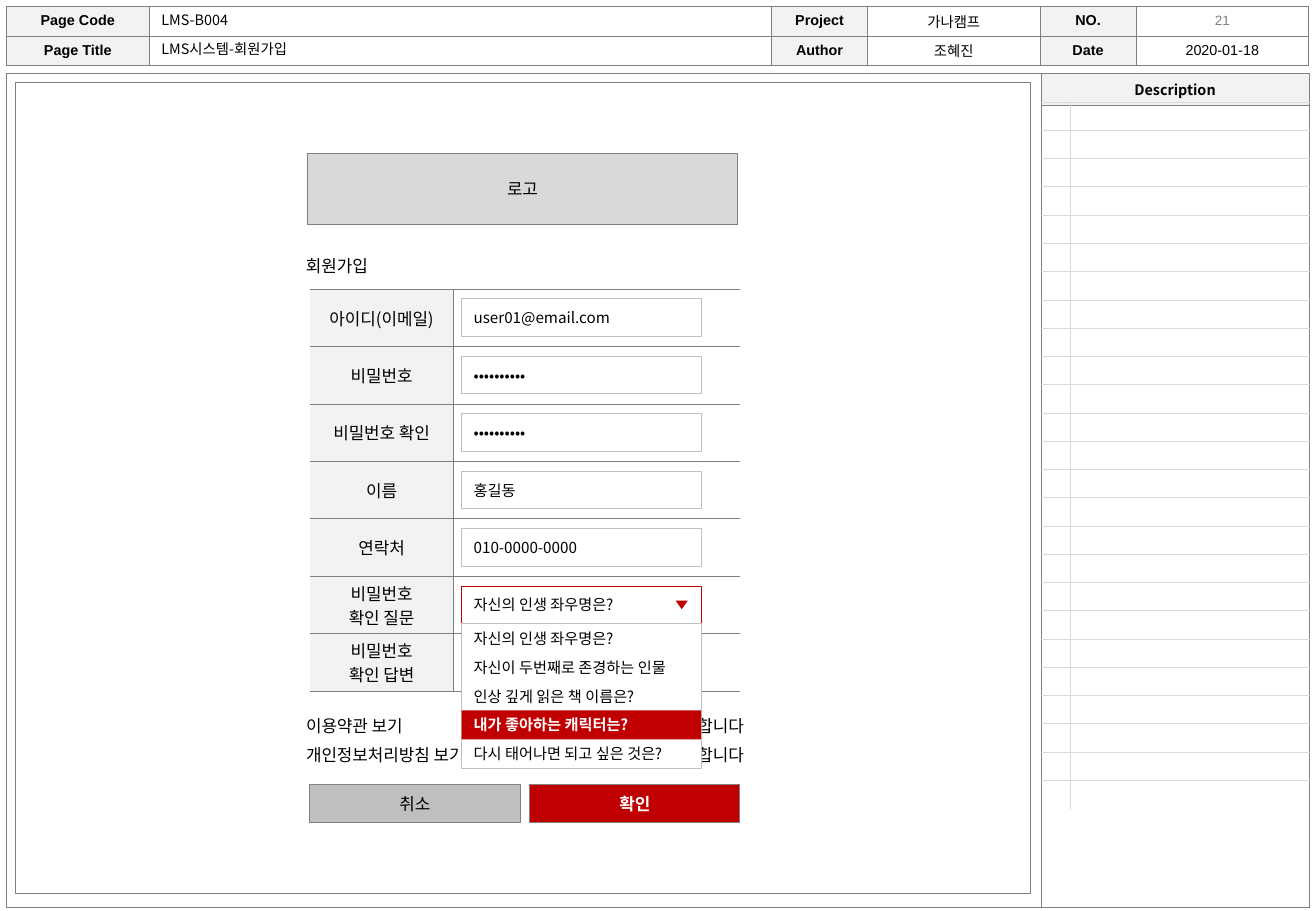
from lxml.etree import SubElement
from pptx import Presentation
from pptx.dml.color import RGBColor
from pptx.enum.shapes import MSO_SHAPE
from pptx.enum.text import MSO_ANCHOR, PP_ALIGN
from pptx.oxml.ns import qn
from pptx.util import Inches, Pt

KOREAN, LATIN = "Noto Sans CJK KR", "Arial"
BLACK, WHITE = RGBColor(0, 0, 0), RGBColor(255, 255, 255)
GRAY, MID = RGBColor(0x80, 0x80, 0x80), RGBColor(0xBF, 0xBF, 0xBF)
LIGHT, PALE = RGBColor(0xD9, 0xD9, 0xD9), RGBColor(0xF2, 0xF2, 0xF2)
NUMBER, RED = RGBColor(0x7F, 0x7F, 0x7F), RGBColor(0xC0, 0, 0)

HEADER = [
    ["Page Code", "", "Project", "가나캠프", "NO.", ""],
    ["Page Title", "", "Author", "조혜진", "Date", "2020-01-18"],
]
PAGE_INFO = ["LMS-B004", "LMS시스템-회원가입"]
FIELDS = [  # label, value of the input box
    ("아이디(이메일)", "user01@email.com"),
    ("비밀번호", "••••••••••"),
    ("비밀번호 확인", "••••••••••"),
    ("이름", "홍길동"),
    ("연락처", "010-0000-0000"),
    ("비밀번호\n확인 질문", "자신의 인생 좌우명은?"),
    ("비밀번호\n확인 답변", ""),
]
QUESTION_ROW = 5
OPTIONS = ["자신의 인생 좌우명은?", "자신이 두번째로 존경하는 인물", "인상 깊게 읽은 책 이름은?",
           "내가 좋아하는 캐릭터는?", "다시 태어나면 되고 싶은 것은?"]
CHOSEN = 3
TERMS = [("이용약관 보기", 1.09), ("개인정보처리방침 보기", 1.65)]  # text, width
AGREE = "동의합니다"

# Page grid, in inches
EDGE, PAGE_W = 0.05, 10.72
HEADER_COLS, HEADER_ROW = [1.18, 5.12, 0.79, 1.42, 0.79, 1.42], 0.245
BODY_TOP, BODY_COLS, BODY_ROWS = 0.6, [8.52, 2.2], [0.27, 6.6]
NOTE_TOP, NOTE_COLS, NOTE_COUNT, NOTE_ROW = 0.84, [0.24, 1.97], 25, 0.233
# Form grid
FORM_X, FORM_TOP, FORM_COLS, FORM_ROW = 2.55, 2.38, [1.18, 2.36], 0.473
FORM_W = sum(FORM_COLS)
BOX_X, BOX_W, BOX_H = 3.8, 1.97, 0.31
OPTION_ROW = 0.238
BUTTON_TOP, BUTTON_W = 6.46, 1.73
TEXT_X, TERMS_TOP, TERMS_STEP = 2.42, 5.76, 0.24


def write(tf, text, size=10, font=KOREAN, color=BLACK, bold=False,
          align=PP_ALIGN.LEFT, spacing=None):
    for i, line in enumerate(text.split("\n")):
        p = tf.paragraphs[0] if i == 0 else tf.add_paragraph()
        p.alignment, p.line_spacing = align, spacing
        r = p.add_run()
        r.text = line
        r.font.size, r.font.name, r.font.bold = Pt(size), font, bold
        r.font.color.rgb = color
        SubElement(r.font._element, qn("a:ea")).set("typeface", KOREAN)


def add_box(slide, x, y, w, h, text="", fill=None, line=None,
            kind=MSO_SHAPE.RECTANGLE, **fmt):
    """Filled or outlined shape with middle-anchored text."""
    sp = slide.shapes.add_shape(kind, Inches(x), Inches(y), Inches(w), Inches(h))
    sp.shadow.inherit = False
    sp.fill.solid()
    sp.fill.fore_color.rgb = fill
    if line is None:
        sp.line.fill.background()
    else:
        sp.line.color.rgb = line
        sp.line.width = Pt(0.5)
    if text:
        sp.text_frame.vertical_anchor = MSO_ANCHOR.MIDDLE
        write(sp.text_frame, text, **fmt)
    return sp


def add_text(slide, x, y, w, h, text, wrap=True, anchor=MSO_ANCHOR.TOP, **fmt):
    tf = slide.shapes.add_textbox(Inches(x), Inches(y), Inches(w), Inches(h)).text_frame
    tf.word_wrap, tf.vertical_anchor = wrap, anchor
    write(tf, text, **fmt)


def add_grid(slide, x, y, cols, rows):
    """Plain table whose cells have no fill and take no minimum height."""
    table = slide.shapes.add_table(len(rows), len(cols), Inches(x), Inches(y),
                                   Inches(sum(cols)), Inches(sum(rows))).table
    table.first_row = table.horz_banding = False
    for col, width in zip(table.columns, cols):
        col.width = Inches(width)
    for row, height in zip(table.rows, rows):
        row.height = Inches(height)
    for cell in table.iter_cells():
        cell.fill.background()
        cell.margin_top = cell.margin_bottom = 0
        cell.margin_left = cell.margin_right = Inches(0.04)
        cell.vertical_anchor = MSO_ANCHOR.MIDDLE
        cell.text_frame.paragraphs[0]._p.get_or_add_endParaRPr().set("sz", "800")
    return table


def set_borders(cell, sides, color, width):
    """Draw the sides named by letters of LRTB and clear the others."""
    tc_pr = cell._tc.get_or_add_tcPr()
    for i, side in enumerate("LRTB"):
        ln = SubElement(tc_pr, qn("a:ln" + side), w=str(Pt(width)))
        if side in sides:
            fill = SubElement(ln, qn("a:solidFill"))
            SubElement(fill, qn("a:srgbClr")).set("val", str(color))
        else:
            SubElement(ln, qn("a:noFill"))
        tc_pr.insert(i, ln)


def shade(cell, color):
    cell.fill.solid()
    cell.fill.fore_color.rgb = color


def add_page_frame(slide):
    body = add_grid(slide, EDGE, BODY_TOP, BODY_COLS, BODY_ROWS)
    title = body.cell(0, 1)
    shade(title, PALE)
    write(title.text_frame, "Description", size=8.5, bold=True, align=PP_ALIGN.CENTER)
    for cell, sides in zip(body.iter_cells(), ("LRT", "LRTB", "LRB", "LRTB")):
        set_borders(cell, sides, GRAY, 0.25)

    header = add_grid(slide, EDGE, EDGE, HEADER_COLS, [HEADER_ROW] * len(HEADER))
    for r, row in enumerate(HEADER):
        for c, text in enumerate(row):
            cell, is_label = header.cell(r, c), c % 2 == 0
            if is_label:
                shade(cell, PALE)
            if text:
                write(cell.text_frame, text, size=8.5, font=LATIN, bold=is_label,
                      align=PP_ALIGN.CENTER)
            set_borders(cell, "LRTB", GRAY, 0.25)
    number_w = HEADER_COLS[-1]
    add_text(slide, EDGE + PAGE_W - number_w, EDGE, number_w, HEADER_ROW, "21", size=8,
             font=LATIN, color=NUMBER, align=PP_ALIGN.CENTER)
    add_box(slide, 0.13, 0.68, 8.35, 6.68, fill=WHITE, line=GRAY)

    notes = add_grid(slide, EDGE + BODY_COLS[0], NOTE_TOP, NOTE_COLS, [NOTE_ROW] * NOTE_COUNT)
    for r in range(NOTE_COUNT):
        bottom = "B" if r < NOTE_COUNT - 1 else ""
        for c, inner in enumerate("RL"):
            set_borders(notes.cell(r, c), inner + "T" + bottom, LIGHT, 0.5)
    for i, text in enumerate(PAGE_INFO):
        add_text(slide, EDGE + HEADER_COLS[0], 0.04 + i * HEADER_ROW, HEADER_COLS[1],
                 HEADER_ROW, text, size=8.5)


def add_form(slide):
    table = add_grid(slide, FORM_X, FORM_TOP, FORM_COLS, [FORM_ROW] * len(FIELDS))
    for i, (label, value) in enumerate(FIELDS):
        cell = table.cell(i, 0)
        shade(cell, PALE)
        write(cell.text_frame, label, align=PP_ALIGN.CENTER)
        set_borders(cell, "RTB", GRAY, 0.5)
        set_borders(table.cell(i, 1), "LTB", GRAY, 0.5)
        add_box(slide, BOX_X, FORM_TOP + 0.08 + i * FORM_ROW, BOX_W, BOX_H, value,
                fill=WHITE, line=RED if i == QUESTION_ROW else MID, size=9)

    add_box(slide, FORM_X - 0.02, 1.26, FORM_W, 0.59, "로고", fill=LIGHT, line=GRAY,
            align=PP_ALIGN.CENTER)
    add_box(slide, FORM_X + FORM_W - BUTTON_W, BUTTON_TOP, BUTTON_W, BOX_H, "확인",
            fill=RED, line=GRAY, color=WHITE, bold=True, align=PP_ALIGN.CENTER)
    add_box(slide, FORM_X, BUTTON_TOP, BUTTON_W, BOX_H, "취소", fill=MID, line=GRAY,
            align=PP_ALIGN.CENTER)
    add_text(slide, TEXT_X, 1.97, 0.76, 0.32, "회원가입", wrap=False, spacing=1.5)
    for i, (text, width) in enumerate(TERMS):
        y = TERMS_TOP + i * TERMS_STEP
        add_text(slide, TEXT_X, y, width, 0.32, text, wrap=False, spacing=1.5)
        add_text(slide, 5.32, y, 0.9, 0.32, AGREE, wrap=False, spacing=1.5,
                 align=PP_ALIGN.RIGHT)


def add_dropdown(slide):
    select_top = FORM_TOP + 0.08 + QUESTION_ROW * FORM_ROW
    top = select_top + BOX_H
    add_box(slide, BOX_X, top, BOX_W, OPTION_ROW * len(OPTIONS), fill=WHITE, line=MID)
    for i, text in enumerate(OPTIONS):
        place = (BOX_X, top + i * OPTION_ROW, BOX_W, OPTION_ROW, text)
        if i == CHOSEN:
            add_box(slide, *place, fill=RED, size=9, color=WHITE, bold=True)
        else:
            add_text(slide, *place, anchor=MSO_ANCHOR.MIDDLE, size=9)
    arrow = add_box(slide, 5.56, select_top + 0.12, 0.1, 0.07, fill=RED,
                    kind=MSO_SHAPE.ISOSCELES_TRIANGLE)
    arrow.rotation = 180


def main():
    prs = Presentation()
    prs.slide_width, prs.slide_height = Inches(10.83), Inches(7.5)
    slide = prs.slides.add_slide(prs.slide_layouts[6])
    add_page_frame(slide)
    add_form(slide)
    add_dropdown(slide)
    prs.save("out.pptx")


if __name__ == "__main__":
    main()
